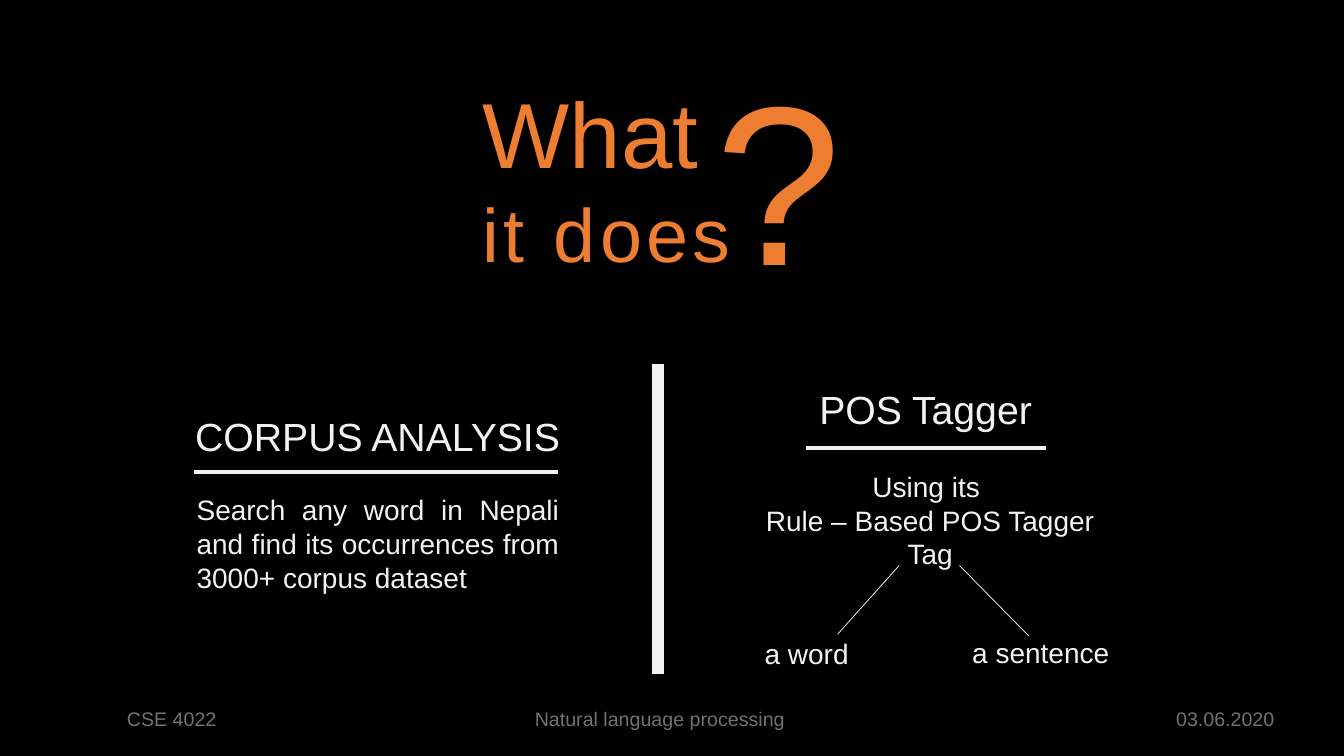
import pptx
import pptx.util
import pptx.dml.color
import pptx.enum.shapes
import pptx.enum.text
import pptx.oxml
from dataclasses import dataclass
from pptx.util import Cm

ALIGN = pptx.enum.text.PP_ALIGN


@dataclass(frozen=True)
class Theme:
    font: str = "Arial"
    background: str = "000000"
    accent: str = "ED7D31"
    light: str = "F2F2F2"
    branch: str = "FFFFFF"
    muted: str = "767171"
    question_size: int = 162
    title_size: int = 66
    subtitle_size: int = 54
    heading_size: int = 28
    body_size: int = 20
    footer_size: int = 14
    subtitle_spacing: int = 300


THEME = Theme()

TITLE = [("What", THEME.title_size), ("it does", THEME.subtitle_size)]
TITLE_BOX = (11.91, 1.78, 7.98, 5.38)
QUESTION_BOX = (17.78, 0.86, 5.84, 7.19)

COLUMNS = [
    {
        "heading": "CORPUS ANALYSIS",
        "heading_box": (4.27, 10.26, 10.49, 1.45),
        "lines": ["Search any word in Nepali and find its occurrences from 3000+ corpus dataset"],
        "body_box": (4.7, 12.29, 9.65, 2.82),
        "align": ALIGN.JUSTIFY,
    },
    {
        "heading": "POS Tagger",
        "heading_box": (18.08, 9.58, 10.49, 1.45),
        "lines": ["Using its ", "Rule – Based POS Tagger", "Tag"],
        "body_box": (18.08, 11.71, 10.72, 2.82),
        "align": ALIGN.CENTER,
    },
]

TAGS = [("a word", (17.37, 15.92, 5.92, 1.12)), ("a sentence", (23.27, 15.9, 5.92, 1.12))]

FOOTERS = [
    ("CSE 4022", (2.95, 17.7, 6, 0.86), ALIGN.LEFT),
    ("Natural language processing", (12.63, 17.7, 8, 0.86), ALIGN.CENTER),
    ("03.06.2020", (26.37, 17.7, 6, 0.86), ALIGN.RIGHT),
]

LINES = [
    ((4.88, 11.89), (14.05, 11.89), THEME.light, 3),
    ((20.32, 11.28), (26.37, 11.28), THEME.light, 3),
    ((16.59, 9.17), (16.59, 16.99), THEME.light, 8.75),
    ((21.11, 15.98), (22.66, 14.25), THEME.branch, 0.5),
    ((24.18, 14.25), (25.93, 16.03), THEME.branch, 0.5),
]


def color(value):
    return pptx.dml.color.RGBColor.from_string(value)


def write(shape, box, lines, fill, align):
    shape.left, shape.top, shape.width, shape.height = map(Cm, box)
    frame = shape.text_frame
    frame.word_wrap = True
    frame.auto_size = pptx.enum.text.MSO_AUTO_SIZE.NONE
    frame.vertical_anchor = pptx.enum.text.MSO_ANCHOR.TOP
    for index, (text, size) in enumerate(lines):
        paragraph = frame.add_paragraph() if index else frame.paragraphs[0]
        paragraph.alignment = align
        paragraph.line_spacing = 1.0
        paragraph.space_before = paragraph.space_after = pptx.util.Pt(0)
        if shape.is_placeholder:
            properties = paragraph._p.get_or_add_pPr()
            properties.set("marL", "0")
            properties.set("indent", "0")
            properties.append(pptx.oxml.parse_xml(
                '<a:buNone xmlns:a="http://schemas.openxmlformats.org/drawingml/2006/main"/>'))
        run = paragraph.add_run()
        run.text = text
        run.font.name = THEME.font
        run.font.size = pptx.util.Pt(size)
        run.font.bold = False
        run.font.color.rgb = color(fill)


def add_label(slide, text, box, size, fill, align):
    label = slide.shapes.add_textbox(*map(Cm, box))
    write(label, box, [(text, size)], fill, align)


def add_line(slide, start, end, fill, width):
    line = slide.shapes.add_connector(
        pptx.enum.shapes.MSO_CONNECTOR.STRAIGHT, *map(Cm, start + end))
    line.line.color.rgb = color(fill)
    line.line.width = pptx.util.Pt(width)
    line._element.spPr.append(pptx.oxml.parse_xml(
        '<a:effectLst xmlns:a="http://schemas.openxmlformats.org/drawingml/2006/main"/>'))


def main():
    presentation = pptx.Presentation()
    presentation.slide_width, presentation.slide_height = Cm(33.87), Cm(19.05)
    slide = presentation.slides.add_slide(presentation.slide_layouts.get_by_name("Comparison"))
    slide.background.fill.solid()
    slide.background.fill.fore_color.rgb = color(THEME.background)

    title, *placeholders = slide.placeholders
    write(title, TITLE_BOX, TITLE, THEME.accent, ALIGN.LEFT)
    subtitle = title.text_frame.paragraphs[1].runs[0]
    subtitle.font._element.set("spc", str(THEME.subtitle_spacing))
    add_label(slide, "?", QUESTION_BOX, THEME.question_size, THEME.accent, ALIGN.LEFT)

    for column, heading, body in zip(COLUMNS, placeholders[::2], placeholders[1::2]):
        write(heading, column["heading_box"], [(column["heading"], THEME.heading_size)],
              THEME.light, ALIGN.CENTER)
        write(body, column["body_box"], [(text, THEME.body_size) for text in column["lines"]],
              THEME.light, column["align"])

    for text, box in TAGS:
        add_label(slide, text, box, THEME.body_size, THEME.light, ALIGN.CENTER)
    for text, box, align in FOOTERS:
        add_label(slide, text, box, THEME.footer_size, THEME.muted, align)
    for line in LINES:
        add_line(slide, *line)

    presentation.save("out.pptx")


if __name__ == "__main__":
    main()
